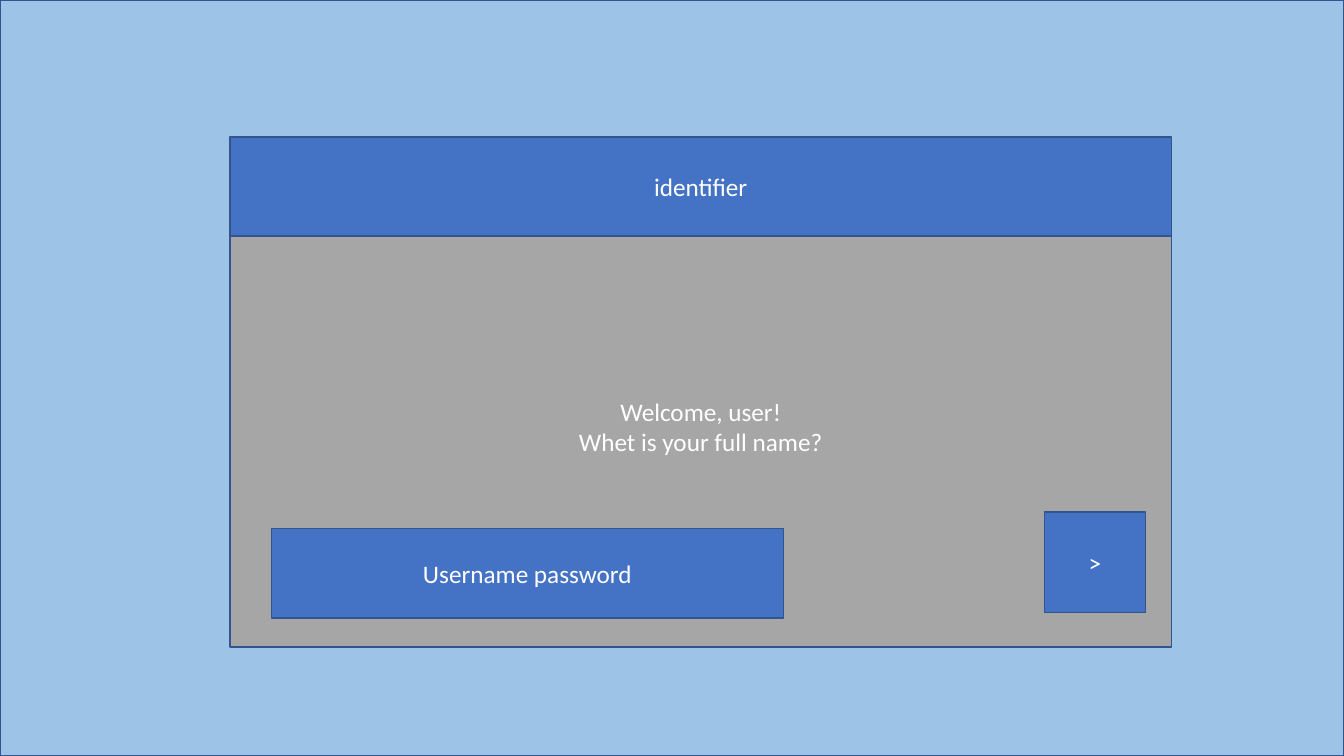
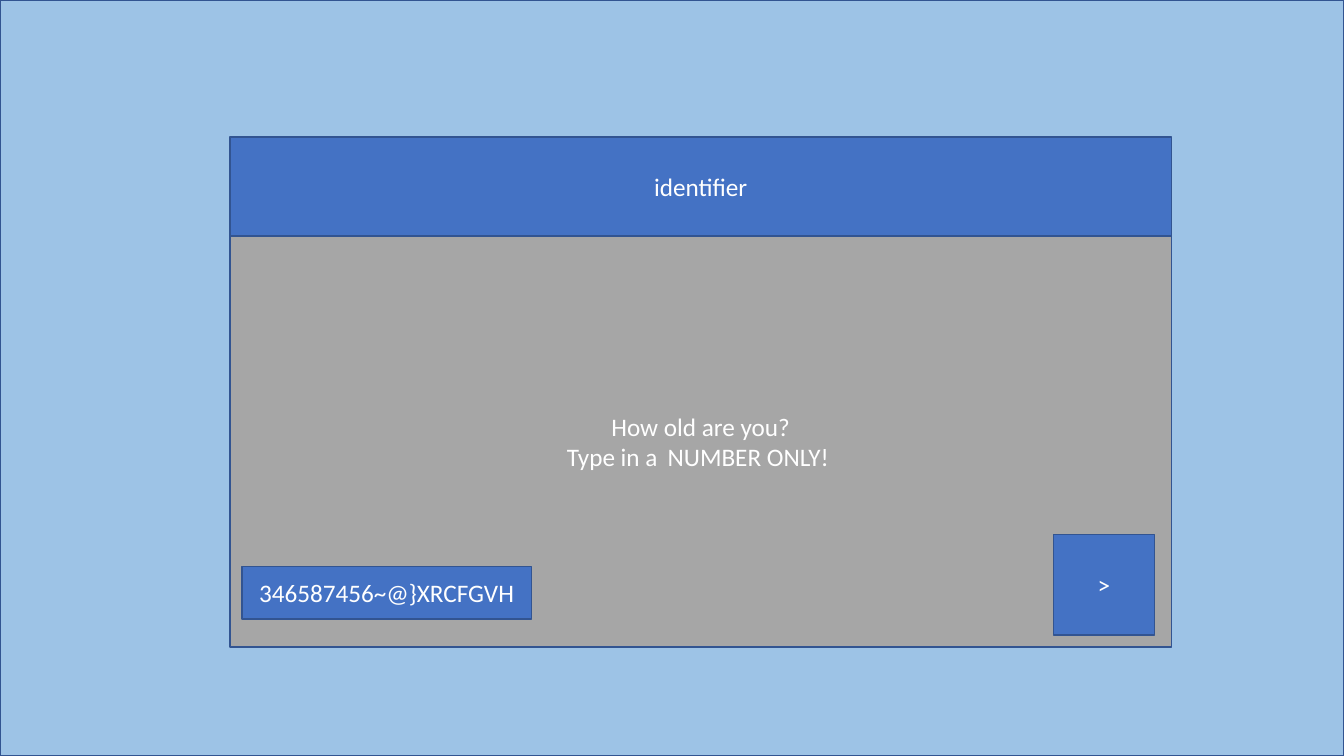
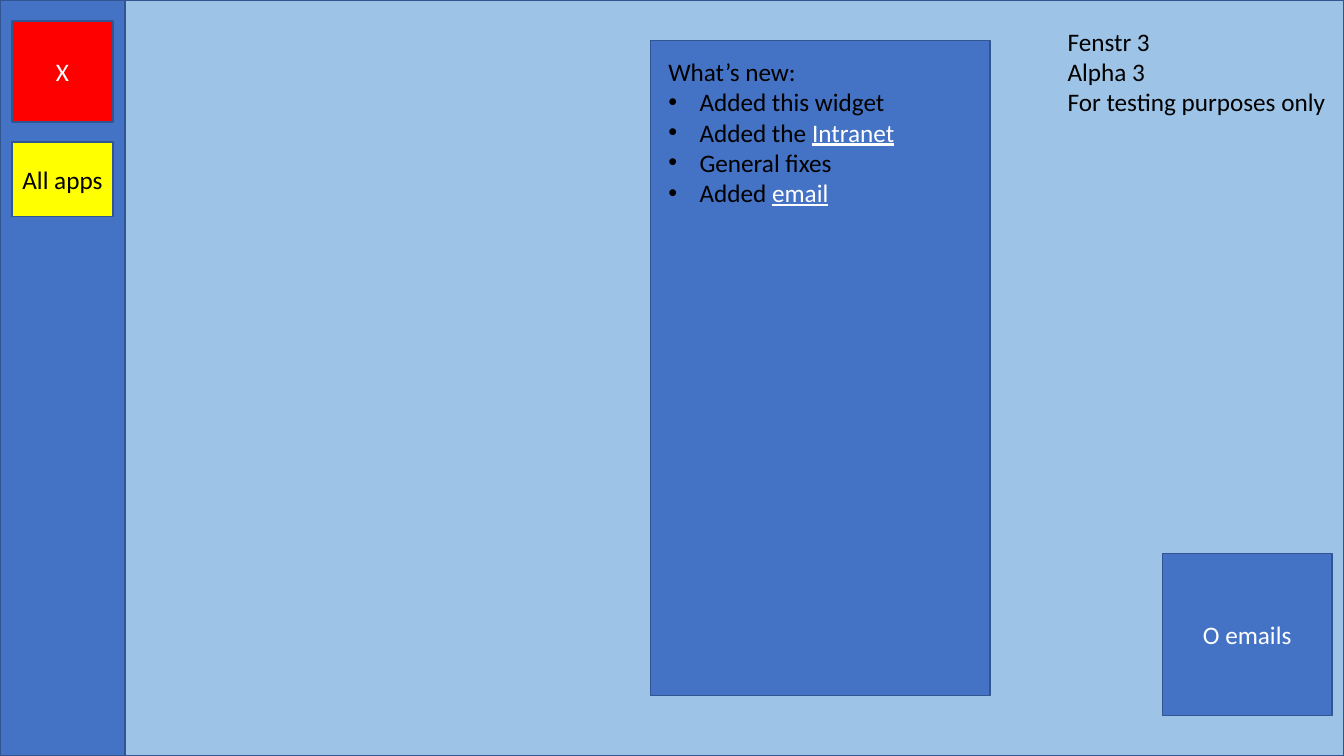
from pptx import Presentation
from pptx.dml.color import RGBColor
from pptx.enum.shapes import MSO_SHAPE
from pptx.enum.text import MSO_ANCHOR, PP_ALIGN
from pptx.oxml.ns import qn
from pptx.util import Inches, Pt
from lxml.etree import SubElement

SKY, BLUE, EDGE, GREY = "9DC3E6", "4472C4", "325491", "A6A6A6"
RED, YELLOW, WHITE, BLACK = "FF0000", "FFFF00", "FFFFFF", "000000"
WIDTH, HEIGHT = 13.33, 7.5
INDENT = 0.31


def rgb(value):
    return RGBColor.from_string(value)


class Screens:
    """Holds the shared style and the current slide."""

    def __init__(self):
        self.deck = Presentation()
        self.deck.slide_width = Inches(WIDTH)
        self.deck.slide_height = Inches(HEIGHT)
        self.slide = None

    def new_screen(self):
        self.slide = self.deck.slides.add_slide(self.deck.slide_layouts[6])
        self.panel(0, 0, WIDTH, HEIGHT, fill=SKY)

    def run(self, paragraph, words, color, underline=None):
        piece = paragraph.add_run()
        piece.text = words
        style = {"name": "Calibri", "size": Pt(18), "underline": underline}
        for key, value in style.items():
            setattr(piece.font, key, value)
        piece.font.color.rgb = rgb(color)

    def panel(self, left, top, width, height, *lines, fill=BLUE,
              color=WHITE, bottom=0.05):
        """Outlined rectangle with centred lines of text."""
        box = self.slide.shapes.add_shape(
            MSO_SHAPE.RECTANGLE, *map(Inches, (left, top, width, height)))
        box.shadow.inherit = False
        box.fill.solid()
        box.fill.fore_color.rgb = rgb(fill)
        box.line.color.rgb = rgb(EDGE)
        box.line.width = Pt(1)
        frame = box.text_frame
        layout = {"word_wrap": True, "vertical_anchor": MSO_ANCHOR.MIDDLE,
                  "margin_bottom": Inches(bottom)}
        for key, value in layout.items():
            setattr(frame, key, value)
        for index, line in enumerate(lines):
            paragraph = frame.add_paragraph() if index else frame.paragraphs[0]
            paragraph.alignment = PP_ALIGN.CENTER
            self.run(paragraph, line, color)

    def note(self, left, top, width, height, heading, lines, bullets=False):
        """Left-aligned text; a line is (words, optional underlined words)."""
        frame = self.slide.shapes.add_textbox(
            *map(Inches, (left, top, width, height))).text_frame
        frame.word_wrap = True
        self.run(frame.paragraphs[0], heading, BLACK)
        for words, *marked in lines:
            paragraph = frame.add_paragraph()
            if bullets:
                self.bullet(paragraph)
            self.run(paragraph, words, BLACK)
            for word in marked:
                self.run(paragraph, word, WHITE, underline=True)

    def bullet(self, paragraph):
        props = paragraph._p.get_or_add_pPr()
        props.set("marL", str(Inches(INDENT)))
        props.set("indent", str(-Inches(INDENT)))
        SubElement(props, qn("a:buFont")).set("typeface", "Arial")
        SubElement(props, qn("a:buChar")).set("char", "•")

    def dialog(self, question, answer, answer_at, next_at, bottom=0.05):
        """Window with a title bar, a question, an answer field and a button."""
        self.new_screen()
        left, top, width, bar = 2.28, 1.36, 9.34, 0.98
        self.panel(left, top + bar, width, 4.08, *question,
                   fill=GREY, bottom=bottom)
        self.panel(left, top, width, bar, "identifier")
        self.panel(*answer_at, answer)
        self.panel(*next_at, 1, 1, ">")


screens = Screens()

# Name question, set one line above the middle
screens.dialog(("Welcome, user!", "Whet is your full name?"),
               "Username password", (2.69, 5.24, 5.08, 0.89),
               (10.36, 5.08), bottom=0.35)

# Age question
screens.dialog(("How old are you?", "Type in a \tNUMBER ONLY! "),
               "346587456~@}XRCFGVH", (2.4, 5.62, 2.87, 0.52),
               (10.45, 5.3))

# Desktop: side bar and version
screens.new_screen()
screens.panel(0, 0, 1.24, HEIGHT)
screens.note(10.49, 0.21, 2.84, 1.01, "Fenstr 3",
             [("Alpha 3",), ("For testing purposes only",)])
screens.panel(0.12, 0.21, 1, 1, "X", fill=RED)
screens.panel(0.12, 1.41, 1, 0.74, "All apps", fill=YELLOW, color=BLACK)

# Desktop: news widget and mail counter
screens.panel(6.45, 0.4, 3.37, 6.5)
screens.note(6.53, 0.51, 3.17, 1.62, "What’s new:",
             [("Added this widget",), ("Added the ", "Intranet"),
              ("General fixes",), ("Added ", "email")], bullets=True)
screens.panel(11.53, 5.49, 1.68, 1.61, "O emails")

screens.deck.save("out.pptx")
